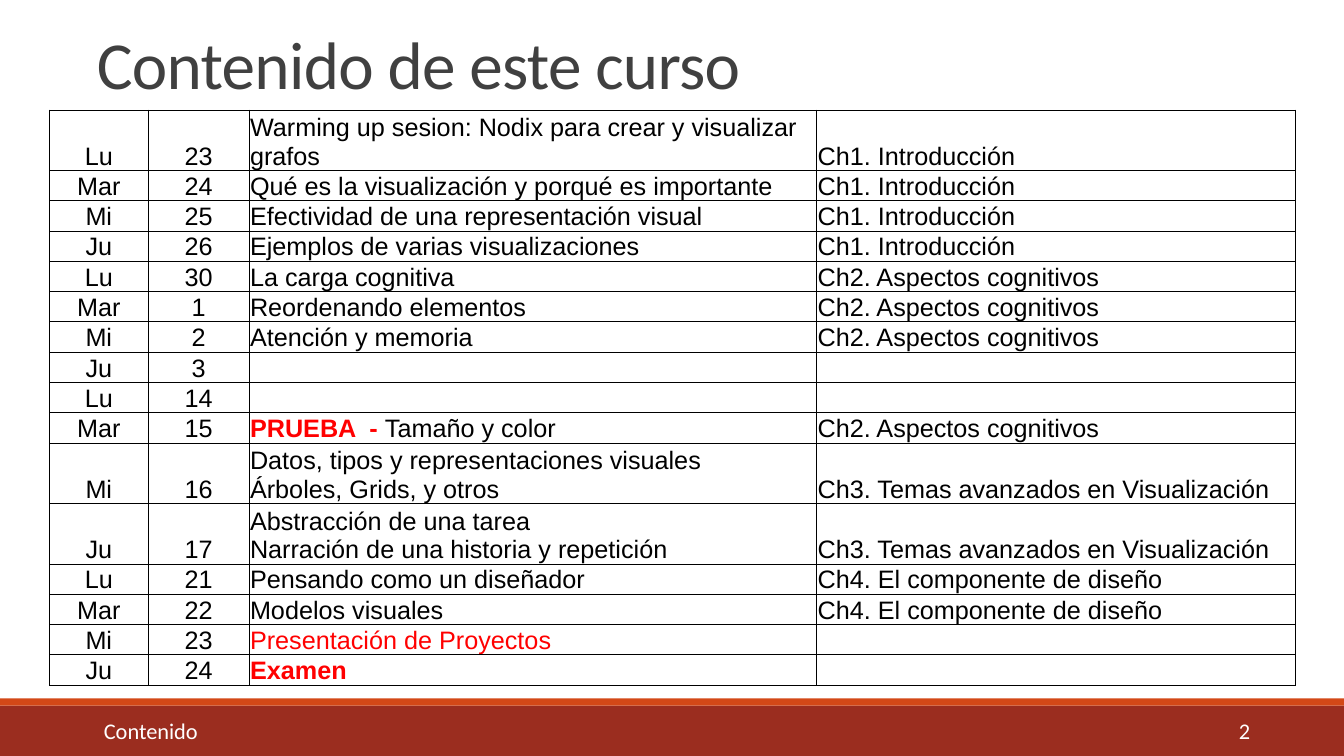
from lxml.etree import SubElement as Sub
from pptx import Presentation
from pptx.dml.color import RGBColor as Rgb
from pptx.enum.shapes import MSO_SHAPE as Form
from pptx.enum.text import MSO_ANCHOR as Anchor, MSO_AUTO_SIZE as Fit, PP_ALIGN as Align
from pptx.oxml.ns import qn
from pptx.util import Inches, Pt

# Content: day, date, topic, chapter; a topic is a list of lines,
# each line a list of (text, style) runs
TITLE = "Contenido de este curso"
FOOTER, PAGE = "Contenido", "2"
CH1 = "Ch1. Introducción"
CH2 = "Ch2. Aspectos cognitivos"
CH3 = "Ch3. Temas avanzados en Visualización"
CH4 = "Ch4. El componente de diseño"


def plain(*lines):
    return [[(line, "plain")] for line in lines]


COURSE = [
    ("Lu", "23", plain("Warming up sesion: Nodix para crear y visualizar grafos"), CH1),
    ("Mar", "24", plain("Qué es la visualización y porqué es importante"), CH1),
    ("Mi", "25", plain("Efectividad de una representación visual"), CH1),
    ("Ju", "26", plain("Ejemplos de varias visualizaciones"), CH1),
    ("Lu", "30", plain("La carga cognitiva"), CH2),
    ("Mar", "1", plain("Reordenando elementos"), CH2),
    ("Mi", "2", plain("Atención y memoria"), CH2),
    ("Ju", "3", [], ""),
    ("Lu", "14", [], ""),
    ("Mar", "15", [[("PRUEBA  - ", "exam"), ("Tamaño y color", "plain")]], CH2),
    ("Mi", "16", plain("Datos, tipos y representaciones visuales",
                       "Árboles, Grids, y otros"), CH3),
    ("Ju", "17", plain("Abstracción de una tarea",
                       "Narración de una historia y repetición"), CH3),
    ("Lu", "21", plain("Pensando como un diseñador"), CH4),
    ("Mar", "22", plain("Modelos visuales"), CH4),
    ("Mi", "23", [[("Presentación de Proyectos", "alert")]], ""),
    ("Ju", "24", [[("Examen", "exam")]], ""),
]

# Theme: each style is font, size, colour, bold
THEME = {
    "band": "9B2D1F", "stripe": "D34817", "grid": "000000", "rule": 0.5,
    "title": ("Calibri", 48, "404040", False),
    "footer": ("Calibri", 16, "FFFFFF", False),
    "plain": ("Arial", 18, "000000", False),
    "alert": ("Arial", 18, "FF0000", False),
    "exam": ("Arial", 18, "FF0000", True),
}

# Layout in inches
WIDE, HIGH = 13.33, 7.5
BAND, STRIPE = 0.5, 0.07
COLS = [0.98, 1, 5.63, 4.75]
ALIGNS = [Align.CENTER, Align.CENTER, Align.LEFT, Align.LEFT]
LINES = [2 if n in (0, 10, 11) else 1 for n in range(len(COURSE))]
DEEP = 5.46
ROW = DEEP / sum(LINES)


def box(*sizes):
    return [Inches(size) for size in sizes]


def write(para, text, style):
    run = para.add_run()
    run.text = text
    font = run.font
    font.name, size, color, font.bold = THEME[style]
    font.size = Pt(size)
    font.color.rgb = Rgb.from_string(color)
    return run


def border(cell):
    props = cell._tc.get_or_add_tcPr()
    for side in ("lnL", "lnR", "lnT", "lnB"):
        line = Sub(props, qn("a:" + side), w=str(Pt(THEME["rule"])))
        Sub(Sub(line, qn("a:solidFill")), qn("a:srgbClr"), val=THEME["grid"])


def fill_cell(cell, lines, align):
    cell.margin_left = cell.margin_right = Inches(0.01)
    cell.margin_top = cell.margin_bottom = 0
    cell.vertical_anchor = Anchor.BOTTOM
    border(cell)
    cell.fill.background()
    frame = cell.text_frame
    for n, line in enumerate(lines):
        para = frame.add_paragraph() if n else frame.paragraphs[0]
        para.alignment = align
        for text, style in line:
            write(para, text, style)
    if not lines:
        # Keep empty cells as low as the text rows
        name, size, *_ = THEME["plain"]
        mark = Sub(frame.paragraphs[0]._p, qn("a:endParaRPr"), sz=str(size * 100))
        Sub(mark, qn("a:latin"), typeface=name)


def add_bands(slide):
    top = HIGH - BAND
    for y, high, color in ((top, BAND, "band"), (top - STRIPE, STRIPE, "stripe")):
        bar = slide.shapes.add_shape(Form.RECTANGLE, *box(0, y, WIDE, high))
        bar.shadow.inherit = False
        bar.fill.solid()
        bar.fill.fore_color.rgb = Rgb.from_string(THEME[color])
        bar.line.fill.background()


def add_footer(slide):
    frame = slide.shapes.add_textbox(*box(0.84, 7.07, 11.66, 0.35)).text_frame
    frame.word_wrap = True
    frame.vertical_anchor = Anchor.MIDDLE
    frame.margin_left, frame.margin_right = box(0.19, 0)
    para = frame.paragraphs[0]
    # A right tab stop carries the page number to the far edge
    tabs = Sub(para._p.get_or_add_pPr(), qn("a:tabLst"))
    Sub(tabs, qn("a:tab"), pos=str(Inches(11.37)), algn="r")
    write(para, FOOTER + "\t" + PAGE, "footer")


def add_title(slide):
    title = slide.shapes.title
    title.left, title.top, title.width, title.height = box(0.86, 0.27, 11, 0.8)
    frame = title.text_frame
    frame.auto_size = Fit.NONE
    frame.vertical_anchor = Anchor.BOTTOM
    para = frame.paragraphs[0]
    para.alignment = Align.LEFT
    para.line_spacing = 0.85
    run = write(para, TITLE, "title")
    run.font._element.set("spc", "-50")


def add_course(slide):
    area = box(0.49, 1.09, sum(COLS), DEEP)
    table = slide.shapes.add_table(len(COURSE), len(COLS), *area).table
    table.first_row = table.horz_banding = False
    for col, wide in zip(table.columns, COLS):
        col.width = Inches(wide)
    for row, count, (day, date, topic, part) in zip(table.rows, LINES, COURSE):
        row.height = Inches(ROW * count)
        texts = plain(day), plain(date), topic, plain(part) if part else []
        for cell, lines, align in zip(row.cells, texts, ALIGNS):
            fill_cell(cell, lines, align)


def main():
    deck = Presentation()
    deck.slide_width, deck.slide_height = box(WIDE, HIGH)
    slide = deck.slides.add_slide(deck.slide_layouts[5])
    add_bands(slide)
    add_footer(slide)
    add_title(slide)
    add_course(slide)
    deck.save("out.pptx")


if __name__ == "__main__":
    main()
